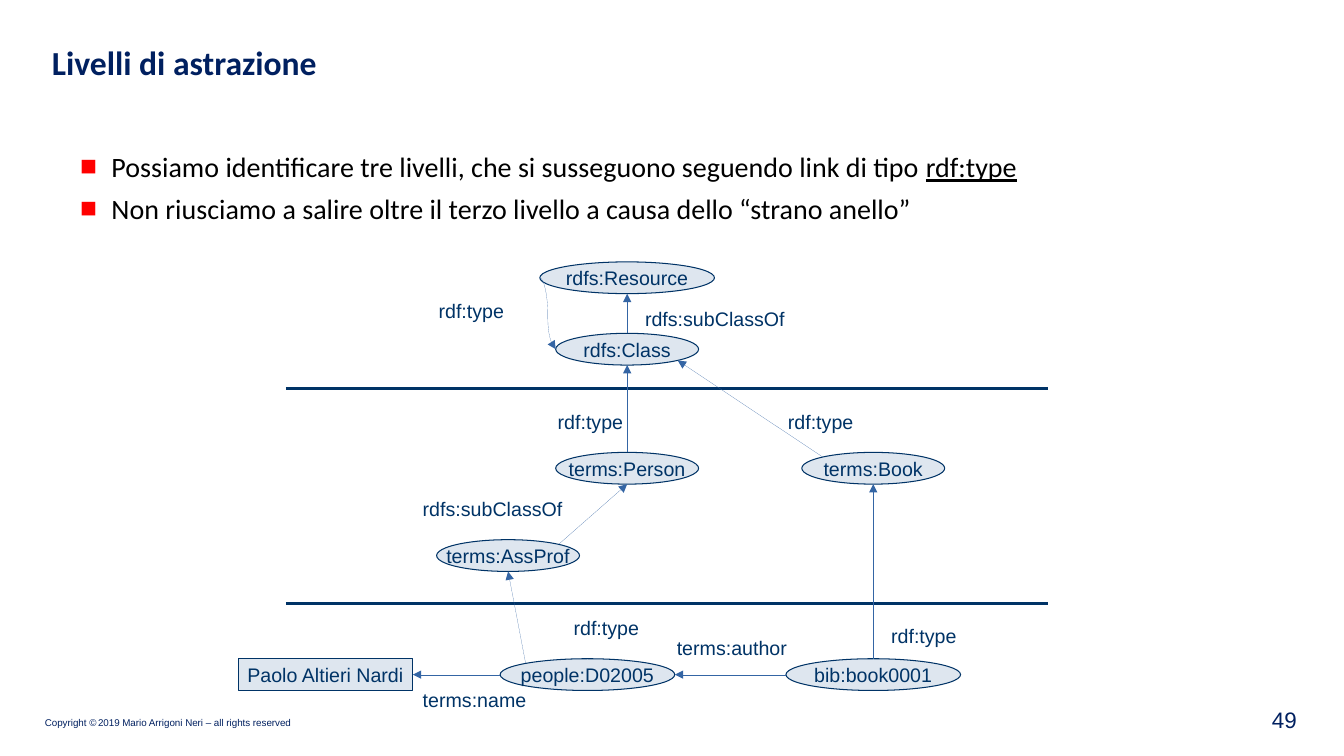
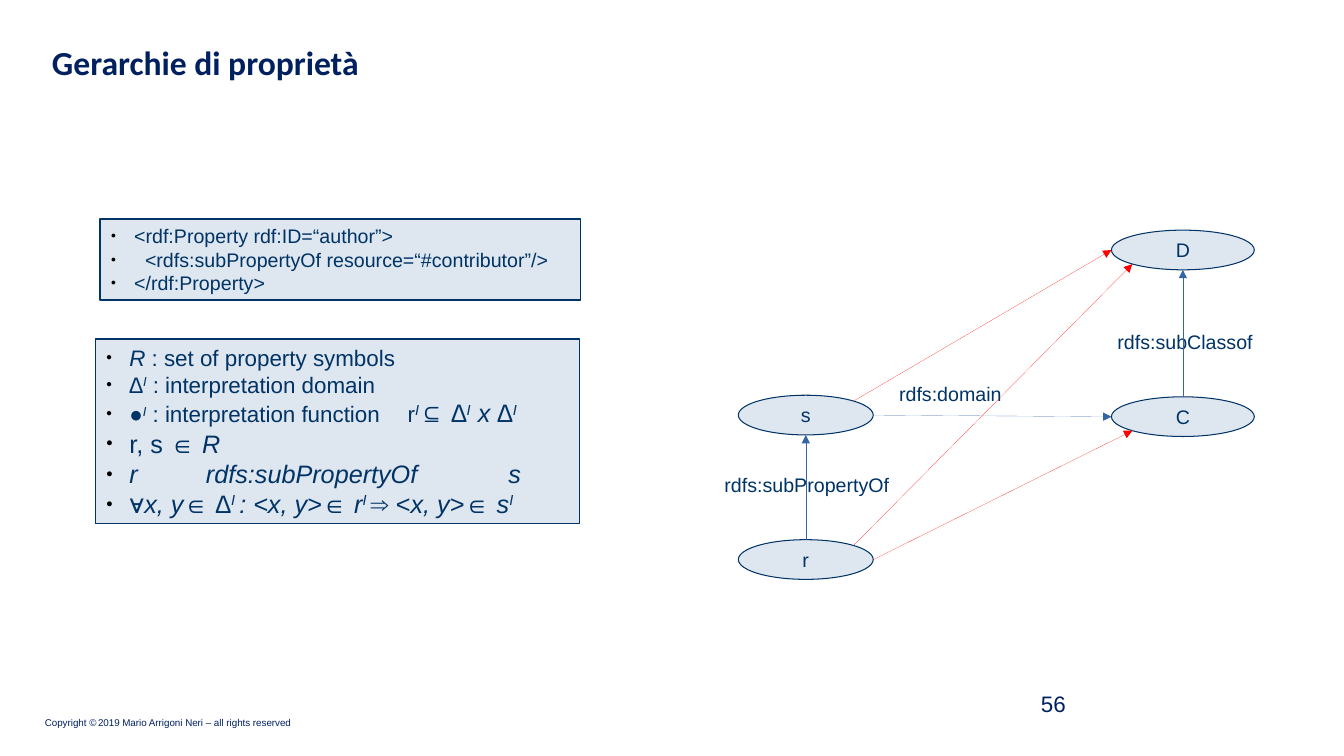
"""Two RDF schema slides built on a grid of 2 mm cells."""
import pptx
import pptx.util
import pptx.dml.color
import pptx.enum.shapes
import pptx.enum.text
import pptx.oxml.ns
from lxml import etree

CELL = pptx.util.Mm(2)
NAVY, INK, PALE = "002060", "003366", "DEE6EF"
BLUE, RED, BLACK = "3465A4", "FF0000", "000000"
HAIR = 0.01
FORM = pptx.enum.shapes.MSO_SHAPE
LINK = pptx.enum.shapes.MSO_CONNECTOR
ALIGN = pptx.enum.text.PP_ALIGN
ANCHOR = pptx.enum.text.MSO_ANCHOR
NEAR, FAR = 0.146, 0.854
SITES = {"t": (0, 0.5, 0), "tl": (1, NEAR, NEAR), "l": (2, 0, 0.5),
         "bl": (3, NEAR, FAR), "b": (4, 0.5, 1), "br": (5, FAR, FAR),
         "r": (6, 1, 0.5), "tr": (7, FAR, NEAR)}


def cells(*sizes):
    return [round(size * CELL) for size in sizes]


def color(code):
    return pptx.dml.color.RGBColor.from_string(code)


def add(owner, tag, **attrs):
    item = etree.SubElement(owner, pptx.oxml.ns.qn("a:" + tag))
    for key, value in attrs.items():
        item.set(key, str(value))
    return item


class Deck:
    def __init__(self):
        self.file = pptx.Presentation()
        self.file.slide_width = pptx.util.Inches(13.33)
        self.file.slide_height = pptx.util.Inches(7.5)
        self.slide = None

    def page(self, title, number, spot):
        self.slide = self.file.slides.add_slide(self.file.slide_layouts[6])
        foot = self.text((5.4, 90, 31.6, 2), [[
            ("Copyright ©", ""), (" ", "", 4),
            ("2019 Mario Arrigoni Neri – all rights reserved", "")]],
            7, NAVY, wrap=False, anchor=ANCHOR.BOTTOM)
        for side in ("left", "right", "top", "bottom"):
            setattr(foot, "margin_" + side, pptx.util.Inches(0.02))
        self.text((5.3, 4.7, 158.9, 8.2), [title], 24, NAVY, "Calibri", bold=True)
        self.text((*spot, 7, 4.4), [number], 16, NAVY,
                  align=ALIGN.RIGHT, anchor=ANCHOR.MIDDLE)

    def text(self, area, lines, size=14, ink=INK, face="Arial", wrap=True, **style):
        frame = self.slide.shapes.add_textbox(*cells(*area)).text_frame
        return self.fill(frame, lines, size, ink, face, wrap, **style)

    def fill(self, frame, lines, size=14, ink=INK, face="Arial", wrap=True,
             align=ALIGN.LEFT, anchor=ANCHOR.TOP, bold=None, gap=0,
             mark=None, tabs=()):
        frame.word_wrap = wrap
        frame.vertical_anchor = anchor
        for index, line in enumerate(lines):
            para = frame.add_paragraph() if index else frame.paragraphs[0]
            para.alignment = align
            if index and gap:
                para.space_before = pptx.util.Pt(gap)
            if mark:
                self.bullet(para, *mark)
            stops = dict(tabs).get(index)
            if stops:
                rack = add(para._p.get_or_add_pPr(), "tabLst")
                for stop in stops:
                    add(rack, "tab", pos=pptx.util.Inches(stop), algn="l")
            font = para.font
            font.name, font.size, font.bold = face, pptx.util.Pt(size), bold
            font.color.rgb = color(ink)
            for part in [(line, "")] if isinstance(line, str) else line:
                self.run(para, *part)
        return frame

    def run(self, para, words, look="", size=None):
        run = para.add_run()
        run.text = words
        if "i" in look:
            run.font.italic = True
        if "u" in look:
            run.font.underline = True
        if "^" in look:
            run.font._element.set("baseline", "30000")
        if size:
            run.font.size = pptx.util.Pt(size)

    def bullet(self, para, sign, ink, left, hang, scale):
        props = para._p.get_or_add_pPr()
        props.set("marL", str(pptx.util.Inches(left)))
        props.set("indent", str(-pptx.util.Inches(hang)))
        add(add(props, "buClr"), "srgbClr", val=ink)
        add(props, "buSzPct", val=scale * 1000)
        add(props, "buFont", typeface="Arial")
        add(props, "buChar", char=sign)

    def shape(self, area, form, width=0.75):
        shape = self.slide.shapes.add_shape(form, *cells(*area))
        shape.shadow.inherit = False
        shape.fill.solid()
        shape.fill.fore_color.rgb = color(PALE)
        shape.line.color.rgb = color(INK)
        shape.line.width = pptx.util.Pt(width)
        return shape

    def node(self, words, area, form=FORM.OVAL):
        shape = self.shape(area, form)
        self.fill(shape.text_frame, [words], wrap=False,
                  align=ALIGN.CENTER, anchor=ANCHOR.MIDDLE)
        return shape

    def panel(self, area, lines, size, **style):
        shape = self.shape(area, FORM.RECTANGLE, 1)
        self.fill(shape.text_frame, lines, size,
                  mark=("●", BLACK, 0.24, 0.23, 45), **style)

    def label(self, words, left, top, width):
        self.text((left, top, width, 4.3), [words], wrap=False)

    def line(self, start, end, ink, width, kind=LINK.STRAIGHT):
        line = self.slide.shapes.add_connector(kind, *start, *end)
        line.line.color.rgb = color(ink)
        line.line.width = pptx.util.Pt(width)
        add(line._element.spPr, "effectLst")
        return line

    def rule(self, left, right, row):
        self.line(cells(left, row), cells(right, row), INK, 2.25)

    def arrow(self, tail, exit, head, entry, ink=BLUE, kind=LINK.STRAIGHT):
        ends = [(tail, *SITES[exit]), (head, *SITES[entry])]
        points = [(round(node.left + across * node.width),
                   round(node.top + down * node.height))
                  for node, _, across, down in ends]
        line = self.line(*points, ink, HAIR, kind)
        add(line.line._get_or_add_ln(), "tailEnd", type="triangle")
        if kind == LINK.STRAIGHT:
            joint = line._element.nvCxnSpPr.cNvCxnSpPr
            for tag, (node, site, *_) in zip(("stCxn", "endCxn"), ends):
                boxy = node.auto_shape_type == FORM.RECTANGLE
                add(joint, tag, id=node.shape_id, idx=site // 2 if boxy else site)


def levels(deck):
    deck.page("Livelli di astrazione", "49", (157.6, 88.4))
    deck.text((5.3, 18.2, 137.7, 12), [
        [("Possiamo identificare tre livelli, che si susseguono seguendo link di tipo ", ""),
         ("rdf:type", "u")],
        "Non riusciamo a salire oltre il terzo livello a causa dello “strano anello”"],
        20, BLACK, "Calibri", gap=6, mark=("■", RED, 0.59, 0.31, 100))
    kind = deck.node("rdfs:Class", (70, 42, 18, 4))
    root = deck.node("rdfs:Resource", (68, 33, 22, 4))
    person = deck.node("terms:Person", (70, 57, 18, 4))
    prof = deck.node("terms:AssProf", (55, 68, 18, 4))
    book = deck.node("terms:Book", (101, 57, 18, 4))
    writer = deck.node("people:D02005", (63, 83, 22, 4))
    item = deck.node("bib:book0001", (99, 83, 22, 4))
    name = deck.node("Paolo Altieri Nardi", (30, 83, 22, 4), FORM.RECTANGLE)
    for left, top in ((54, 37), (71, 77), (69, 51), (111, 78), (98, 51)):
        deck.label("rdf:type", left, top, 10.8)
    for left, top in ((80, 38), (52, 62)):
        deck.label("rdfs:subClassOf", left, top, 20.2)
    deck.label("terms:author", 84, 79.5, 16.4)
    deck.label("terms:name", 52, 86, 15.6)
    for row in (49, 76):
        deck.rule(36, 132, row)
    deck.arrow(root, "l", kind, "l", kind=LINK.CURVE)
    for link in ((kind, "t", root, "b"), (person, "t", kind, "b"),
                 (book, "tl", kind, "br"), (prof, "tr", person, "b"),
                 (writer, "tl", prof, "b"), (item, "t", book, "b"),
                 (writer, "l", name, "r"), (item, "l", writer, "r")):
        deck.arrow(*link)


def traits(deck):
    deck.page("Gerarchie di proprietà", "56", (128.5, 86.4))
    deck.panel((12.6, 27.6, 60.5, 10.2), [
        "<rdf:Property rdf:ID=“author”>",
        "  <rdfs:subPropertyOf resource=“#contributor”/>",
        "</rdf:Property>"], 14)
    deck.panel((12, 42.7, 61, 23.3), [
        [("R", "i"), (" : set of property symbols", "")],
        [("∆", "i"), ("I", "i^"), (" : interpretation domain", "")],
        [("●", "i"), ("I", "i^"), (" : interpretation function\tr", ""),
         ("I", "i^", 18), ("⊆ ", "", 18), ("∆", "i", 18), ("I", "i^", 18),
         (" x ∆", "i", 18), ("I", "i^", 18)],
        [("r, s ∈ ", "", 18), ("R", "i", 18)],
        [("r\trdfs:subPropertyOf\ts", "i", 18)],
        [("∀x, y∈ ∆", "i", 18), ("I ", "i^", 18), (": <x, y>∈ r", "i", 18),
         ("I ", "i^", 18), ("⇒ <", "", 18), ("x, y>∈ s", "i", 18),
         ("I", "i^", 18)]], 16, tabs={2: (3,), 4: (1, 4)})
    sup = deck.node("s", (93, 49.8, 17, 5))
    sub = deck.node("r", (93, 68, 17, 5))
    low = deck.node("C", (140, 50, 18, 5))
    high = deck.node("D", (140, 29, 18, 5))
    deck.label("rdfs:domain", 112, 47.5, 15.5)
    deck.label("rdfs:subPropertyOf", 90, 59, 23.4)
    deck.label("rdfs:subClassof", 139.5, 41, 19.6)
    for link in ((sub, "t", sup, "b"), (sup, "r", low, "l"), (low, "t", high, "b")):
        deck.arrow(*link)
    for link in ((sup, "tr", high, "l"), (sub, "r", low, "bl"), (sub, "tr", high, "bl")):
        deck.arrow(*link, RED)


def main():
    deck = Deck()
    levels(deck)
    traits(deck)
    deck.file.save("out.pptx")


if __name__ == "__main__":
    main()
